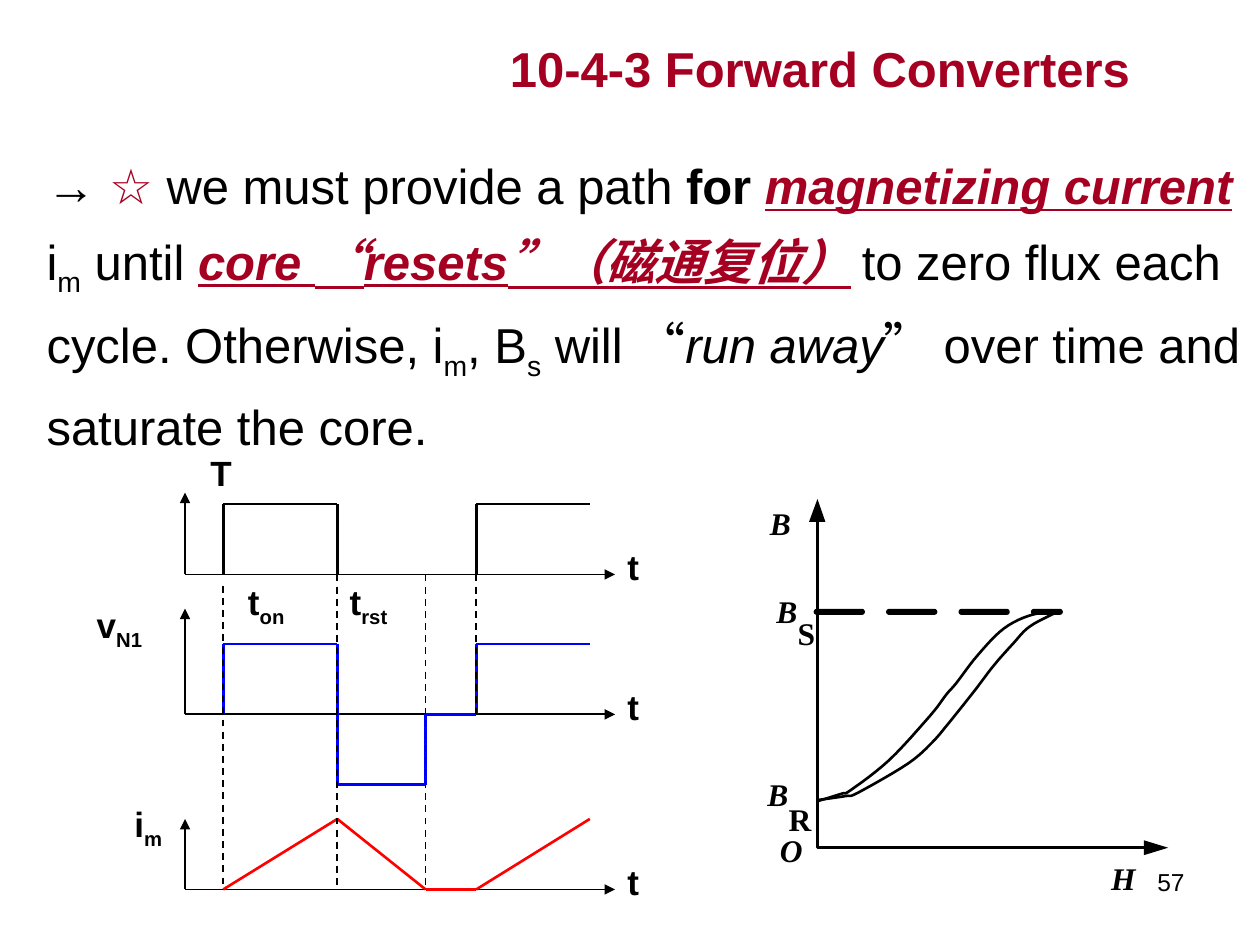
"""Build the forward converter slide with timing waveforms and a B-H curve."""
from itertools import pairwise

from lxml.etree import SubElement
from pptx import Presentation
from pptx.dml.color import RGBColor as RGB
from pptx.enum.dml import MSO_LINE as DASH
from pptx.enum.shapes import MSO_CONNECTOR as CONN, MSO_SHAPE as SHAPE
from pptx.enum.text import PP_ALIGN as ALIGN
from pptx.oxml.ns import qn
from pptx.util import Cm, Pt


class Theme:
    """Fonts, colours, type sizes and line widths."""
    sans, serif = "Arial", "Times New Roman"
    ink, accent = RGB(0, 0, 0), RGB(0xA5, 0, 0x21)
    voltage, current = RGB(0, 0, 0xFF), RGB(0xFF, 0, 0)
    heading, signal, symbol, number = Pt(28), Pt(20), Pt(18), Pt(14)
    thin, thick = Pt(1), Pt(1.5)


TITLE = "10-4-3 Forward Converters"
PAGE = "57"
BODY = [
    ("→ ", ""), ("☆ ", "ab"), ("we must provide a path ", ""), ("for ", "b"),
    ("magnetizing current", "abiu"), (" ", "b"), ("i", ""), ("m", "s"),
    (" until ", ""), ("core “resets”（磁通复位）", "abiu"), (" ", "b"),
    ("to zero flux each cycle. Otherwise, i", ""), ("m", "s"), (", B", ""),
    ("s", "s"), (" will “", ""), ("run away", "i"),
    ("” over time and saturate the core.", ""),
]

AXIS_X, AXIS_END, PULSE = 3.73, 12.4, 1.42
ON, OFF, RESET, NEXT, END = 4.5, 6.8, 8.58, 9.6, 11.89
SIGNALS = [
    {"base": 11.58, "top": 9.93, "color": Theme.ink, "traces": [
        [(ON, 0), (ON, 1), (OFF, 1), (OFF, 0)],
        [(NEXT, 0), (NEXT, 1), (END, 1)]]},
    {"base": 14.4, "top": 12.27, "color": Theme.voltage, "traces": [
        [(ON, 0), (ON, 1), (OFF, 1), (OFF, -1), (RESET, -1), (RESET, 0),
         (NEXT, 0), (NEXT, 1), (END, 1)]]},
    {"base": 17.93, "top": 16.51, "color": Theme.current, "traces": [
        [(ON, 0), (OFF, 1), (RESET, 0), (NEXT, 0), (END, 1)]]},
]
GUIDES = [(ON, 11.81, 17.93), (OFF, 11.58, 17.93),
          (RESET, 11.58, 17.93), (NEXT, 11.58, 14.4)]
SIGNAL_LABELS = [
    ("T", "", 3.99, 8.97, 1.27), ("v", "N1", 1.7, 12.04, 2.03),
    ("i", "m", 2.46, 16.05, 1.52), ("t", "on", 4.75, 11.58, 2.03),
    ("t", "rst", 6.8, 11.58, 2.03),
]

BH_AXES = [(16.48, 10.49), (16.48, 17.09), (23.09, 17.09)]
BH_HEADS = [[(16.31, 10.52), (16.48, 10.06), (16.64, 10.52)],
            [(23.06, 16.94), (23.55, 17.09), (23.06, 17.24)]]
BH_CURVES = [
    [(21.39, 12.34), (20.82, 12.39), (20.24, 12.67), (19.71, 13.21),
     (19.28, 13.77), (19.08, 14), (18.75, 14.43), (17.93, 15.32),
     (17.15, 15.93), (16.97, 16), (16.49, 16.15)],
    [(21.31, 12.34), (20.76, 12.63), (20.42, 12.98), (20.04, 13.41),
     (19.69, 13.87), (19.43, 14.2), (19.1, 14.61), (18.8, 14.96),
     (18.31, 15.39), (17.3, 15.98), (17.04, 16.05), (16.48, 16.13)],
]
DASH_X, DASH_Y, DASH_PITCH, DASH_H = 16.43, 12.3, 1.46, 0.07
DASH_WIDTHS = [0.98, 0.98, 0.98, 0.59]
BH_LABELS = [
    ("B", "i", 15.52, 10.16), ("B", "i", 15.65, 11.94), ("S", "", 16.08, 12.37),
    ("B", "i", 15.47, 15.62), ("R", "", 15.9, 16.13), ("O", "i", 15.72, 16.76),
    ("H", "i", 22.4, 17.32),
]


def add_text(s, box, runs, size, font=Theme.sans, wrap=True, inset=True):
    """Add a text box; flags are a accent, b bold, i italic, u underline, s subscript."""
    tf = s.shapes.add_textbox(*map(Cm, box)).text_frame
    tf.word_wrap = wrap
    if not inset:
        tf.margin_left = tf.margin_right = tf.margin_top = tf.margin_bottom = 0
    p = tf.paragraphs[0]
    for text, flags in runs:
        r = p.add_run()
        r.text = text
        f = r.font
        f.name, f.size = font, size
        f.color.rgb = Theme.accent if "a" in flags else Theme.ink
        f.bold, f.italic, f.underline = ("b" in flags, "i" in flags, "u" in flags)
        if "s" in flags:
            r._r.get_or_add_rPr().set("baseline", "-25000")
    return p


def add_line(s, start, end, color=Theme.ink, width=Theme.thin, dash=False, arrow=False):
    """Add a straight line, optionally dashed or with an arrowhead at its end."""
    c = s.shapes.add_connector(CONN.STRAIGHT, *map(Cm, (*start, *end)))
    c.line.color.rgb, c.line.width = color, width
    if dash:
        c.line.dash_style = DASH.DASH
    if arrow:
        SubElement(c.line._get_or_add_ln(), qn("a:tailEnd"), type="triangle")
    SubElement(c._element.spPr, qn("a:effectLst"))


def add_outline(s, points, filled=False):
    """Add an open black outline or a filled polygon."""
    first, *rest = [(Cm(x), Cm(y)) for x, y in points]
    builder = s.shapes.build_freeform(*first)
    builder.add_line_segments(rest, close=filled)
    sp = builder.convert_to_shape()
    sp.shadow.inherit = False
    if filled:
        sp.fill.solid()
        sp.fill.fore_color.rgb = Theme.ink
        sp.line.fill.background()
    else:
        sp.fill.background()
        sp.line.color.rgb, sp.line.width = Theme.ink, Theme.thick


def smooth(knots, steps=6):
    """Return points on a Catmull-Rom curve through the knots."""
    padded = [knots[0], *knots, knots[-1]]
    points = []
    for a, b, c, d in zip(padded, padded[1:], padded[2:], padded[3:]):
        for t in (n / steps for n in range(steps)):
            points.append(tuple(
                q + ((r - p) * t + (2 * p - 5 * q + 4 * r - o) * t**2
                     + (3 * q - p - 3 * r + o) * t**3) / 2
                for p, q, r, o in zip(a, b, c, d)))
    return [*points, knots[-1]]


def add_waveforms(s):
    """Draw the three timing diagrams with guides and labels."""
    for signal in SIGNALS:
        base = signal["base"]
        origin = (AXIS_X, base)
        add_line(s, origin, (AXIS_END, base), arrow=True)
        add_line(s, origin, (AXIS_X, signal["top"]), arrow=True)
        add_text(s, (AXIS_END, base - 0.71, 1.02, 1.12), [("t", "b")], Theme.signal)
        for trace in signal["traces"]:
            points = [(x, base - level * PULSE) for x, level in trace]
            for start, end in pairwise(points):
                add_line(s, start, end, signal["color"], Theme.thick)
    for x, top, bottom in GUIDES:
        add_line(s, (x, top), (x, bottom), dash=True)
    for name, sub, x, y, w in SIGNAL_LABELS:
        runs = [(name, "b")] + ([(sub, "bs")] if sub else [])
        add_text(s, (x, y, w, 1.22 if sub else 1.12), runs, Theme.signal)


def add_bh_curve(s):
    """Draw the B-H axes, hysteresis branches, saturation dashes and labels."""
    add_outline(s, BH_AXES)
    for head in BH_HEADS:
        add_outline(s, head, filled=True)
    for knots in BH_CURVES:
        add_outline(s, smooth(knots))
    for i, w in enumerate(DASH_WIDTHS):
        box = (DASH_X + i * DASH_PITCH, DASH_Y, w, DASH_H)
        sp = s.shapes.add_shape(SHAPE.ROUNDED_RECTANGLE, *map(Cm, box))
        sp.adjustments[0] = 0.5
        sp.shadow.inherit = False
        sp.fill.solid()
        sp.fill.fore_color.rgb = sp.line.color.rgb = Theme.ink
        sp.line.width = Theme.thick
    for text, style, x, y in BH_LABELS:
        add_text(s, (x, y, 0.45, 0.76), [(text, "b" + style)], Theme.symbol,
                 Theme.serif, wrap=False, inset=False)


def main():
    """Assemble and save the slide."""
    prs = Presentation()
    prs.slide_width, prs.slide_height = Cm(25.4), Cm(19.05)
    s = prs.slides.add_slide(prs.slide_layouts[6])
    p = add_text(s, (18.21, 17.35, 5.92, 1.32), [(PAGE, "")], Theme.number)
    p.alignment = ALIGN.RIGHT
    p = add_text(s, (0.69, 2.72, 24.71, 6.6), BODY, Theme.heading)
    p.line_spacing = 1.25
    add_bh_curve(s)
    add_waveforms(s)
    add_text(s, (10.03, 0.66, 13, 1.45), [(TITLE, "ab")], Theme.heading, wrap=False)
    prs.save("out.pptx")


if __name__ == "__main__":
    main()
